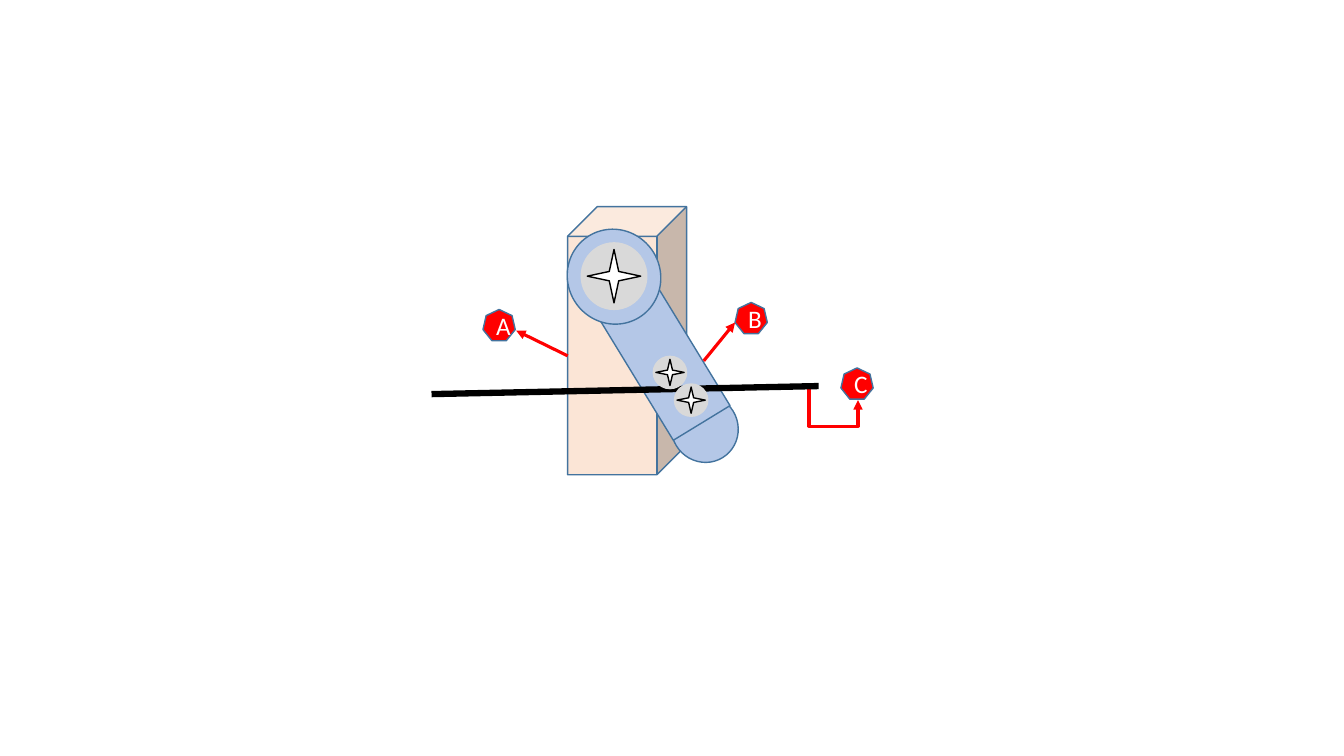
from lxml import etree
from pptx import Presentation
from pptx.dml.color import RGBColor
from pptx.enum.shapes import MSO_CONNECTOR, MSO_SHAPE
from pptx.enum.text import MSO_ANCHOR, PP_ALIGN
from pptx.oxml.ns import qn
from pptx.util import Inches, Pt

STRAIGHT, ELBOW = MSO_CONNECTOR.STRAIGHT, MSO_CONNECTOR.ELBOW
CUBE, OVAL, RECT = MSO_SHAPE.CUBE, MSO_SHAPE.OVAL, MSO_SHAPE.RECTANGLE
DONUT, STAR, HEPTAGON = MSO_SHAPE.DONUT, MSO_SHAPE.STAR_4_POINT, MSO_SHAPE.HEPTAGON
MIDDLE, CENTER = MSO_ANCHOR.MIDDLE, PP_ALIGN.CENTER

# The slide is a grid of 1333 columns by 750 rows.
COLS, ROWS = 1333, 750
CELL = Inches(0.01)
RED, OUTLINE, ARM, GREY = "FF0000", "43739E", "B4C7E7", "D9D9D9"
WHITE, BLACK = "FFFFFF", "000000"
ARM_TILT = 328.6

prs = Presentation()
prs.slide_width, prs.slide_height = COLS * CELL, ROWS * CELL
shapes = prs.slides.add_slide(prs.slide_layouts[6]).shapes


def add_part(kind, cx, cy, w, h, fill, line=OUTLINE, rotation=0):
    """Add a preset shape centred on grid point (cx, cy)."""
    left, top = int((cx - w / 2) * CELL), int((cy - h / 2) * CELL)
    s = shapes.add_shape(kind, left, top, w * CELL, h * CELL)
    s.shadow.inherit = False
    s.rotation = rotation
    s.fill.solid()
    s.fill.fore_color.rgb = RGBColor.from_string(fill)
    s.line.color.rgb = RGBColor.from_string(line)
    s.line.width = Pt(1)
    return s


def add_line(kind, start, end, color, width, arrow=True):
    """Add a connector between two grid points, with an optional end arrow."""
    c = shapes.add_connector(kind, *(v * CELL for v in start + end))
    c.line.color.rgb = RGBColor.from_string(color)
    c.line.width = Pt(width)
    if arrow:
        etree.SubElement(c.line._get_or_add_ln(), qn("a:tailEnd"), type="triangle")
    etree.SubElement(c._element.spPr, qn("a:effectLst"))
    return c


# Arrow from the cable to C: right, down, right, then up
cable_arrow = add_line(ELBOW, (777, 384), (851, 397), RED, 2.25)
geom = cable_arrow._element.spPr.find(qn("a:prstGeom"))
geom.set("prst", "bentConnector4")
guides = geom.find(qn("a:avLst"))
if guides is None:
    guides = etree.SubElement(geom, qn("a:avLst"))
for name, value in (("adj1", 34300), ("adj2", 298700)):
    etree.SubElement(guides, qn("a:gd"), name=name, fmla=f"val {value}")

# Post and tilted arm
add_part(CUBE, 622, 338, 118, 266, "FBE5D6")
for kind, cx, cy, w, h in (
    (OVAL, 699, 425, 66, 68),
    (RECT, 659, 359, 66, 142),
    (DONUT, 609, 274.5, 92, 95),
):
    add_part(kind, cx, cy, w, h, ARM, rotation=ARM_TILT)

# Cable
add_line(STRAIGHT, (428, 391), (812, 383), BLACK, 4.5, arrow=False)

# Bolts: centre, head size, star size
for cx, cy, head, star in (
    (664.5, 369.5, (33, 32), (28, 26)),
    (685.5, 397, (33, 32), (28, 26)),
    (609, 274, (65, 66), (53, 53)),
):
    add_part(OVAL, cx, cy, *head, GREY, GREY)
    add_part(STAR, cx, cy, *star, WHITE, BLACK)

# Labels
for letter, cx, cy in (("A", 495, 322.5), ("B", 745, 315.5), ("C", 850, 380.5)):
    s = add_part(HEPTAGON, cx, cy, 32, 31, RED)
    tf = s.text_frame
    tf.text = letter
    tf.vertical_anchor = MIDDLE
    p = tf.paragraphs[0]
    p.alignment = CENTER
    font = p.runs[0].font
    font.name, font.size = "Calibri", Pt(18)
    font.color.rgb = RGBColor.from_string(WHITE)

# Arrows from the post to A and from the arm to B
for start, end in (((563, 353), (512, 328)), ((698, 358), (729, 320))):
    add_line(STRAIGHT, start, end, RED, 2.25)

prs.save("out.pptx")
